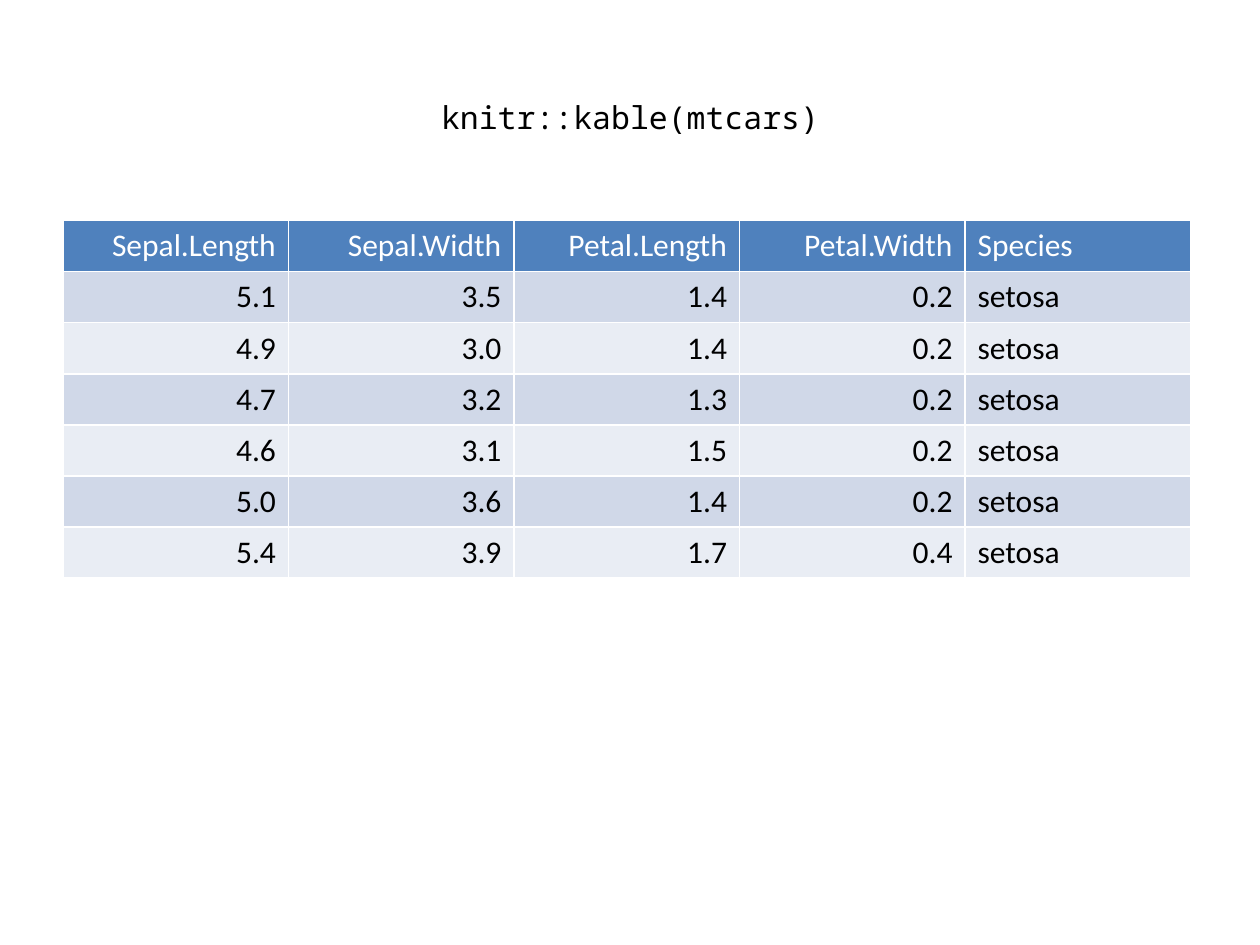
import pptx
import pptx.util
import pptx.dml.color
import pptx.enum.text
import pptx.oxml
from pptx.util import Inches
from lxml import etree

HEADERS = ["Sepal.Length", "Sepal.Width", "Petal.Length", "Petal.Width", "Species"]
FLOWERS = [
    ["5.1", "3.5", "1.4", "0.2", "setosa"],
    ["4.9", "3.0", "1.4", "0.2", "setosa"],
    ["4.7", "3.2", "1.3", "0.2", "setosa"],
    ["4.6", "3.1", "1.5", "0.2", "setosa"],
    ["5.0", "3.6", "1.4", "0.2", "setosa"],
    ["5.4", "3.9", "1.7", "0.4", "setosa"],
]
HEADER_FILL = "4F81BD"
BAND_FILLS = ["E9EDF4", "D0D8E8"]
ROW_HEIGHT = 0.4
COLUMN_WIDTH = 1.79
ALIGN = pptx.enum.text.PP_ALIGN


def rgb(color):
    return pptx.dml.color.RGBColor.from_string(color)


def format_text(paragraph, font_name, color, alignment):
    paragraph.alignment = alignment
    font = paragraph.runs[0].font
    values = {"name": font_name, "size": pptx.util.Pt(18), "bold": False}
    for name, value in values.items():
        setattr(font, name, value)
    font.color.rgb = rgb(color)


def add_borders(cell, color, points):
    properties = cell._tc.get_or_add_tcPr()
    namespace = pptx.oxml.ns.qn
    for index, side in enumerate(["lnL", "lnR", "lnT", "lnB"]):
        line = etree.Element(namespace("a:" + side), w=str(pptx.util.Pt(points)))
        fill = etree.SubElement(line, namespace("a:solidFill"))
        etree.SubElement(fill, namespace("a:srgbClr"), val=color)
        # Borders come before the fill in the cell properties
        properties.insert(index, line)


def build_title(slide, left, top, width, height):
    title = slide.shapes.title
    box = {"left": left, "top": top, "width": width, "height": height}
    for name, value in box.items():
        setattr(title, name, Inches(value))
    title.text_frame.text = "knitr::kable(mtcars)"
    title.text_frame.vertical_anchor = pptx.enum.text.MSO_ANCHOR.MIDDLE
    format_text(title.text_frame.paragraphs[0], "Noto Sans Mono", "000000", ALIGN.CENTER)


def build_table(slide, left, top):
    rows = [HEADERS] + FLOWERS
    table = slide.shapes.add_table(
        len(rows), len(HEADERS), Inches(left), Inches(top),
        Inches(COLUMN_WIDTH * len(HEADERS)), Inches(ROW_HEIGHT * len(rows))).table
    for column in table.columns:
        column.width = Inches(COLUMN_WIDTH)
    for row_index, row in enumerate(rows):
        is_header = row_index == 0
        for column_index, text in enumerate(row):
            cell = table.cell(row_index, column_index)
            cell.text = text
            cell.fill.solid()
            cell.fill.fore_color.rgb = rgb(HEADER_FILL if is_header else BAND_FILLS[row_index % 2])
            # Numbers align right, the species names left
            alignment = ALIGN.LEFT if column_index == len(HEADERS) - 1 else ALIGN.RIGHT
            format_text(cell.text_frame.paragraphs[0], "Calibri",
                        "FFFFFF" if is_header else "000000", alignment)
            add_borders(cell, "FFFFFF", 1)


# Slide
presentation = pptx.Presentation()
presentation.slide_width = Inches(10)
presentation.slide_height = Inches(7.5)
slide = presentation.slides.add_slide(presentation.slide_layouts[5])
build_title(slide, 0.5, 0.3, 9, 1.25)
build_table(slide, 0.5, 1.75)
presentation.save("out.pptx")
